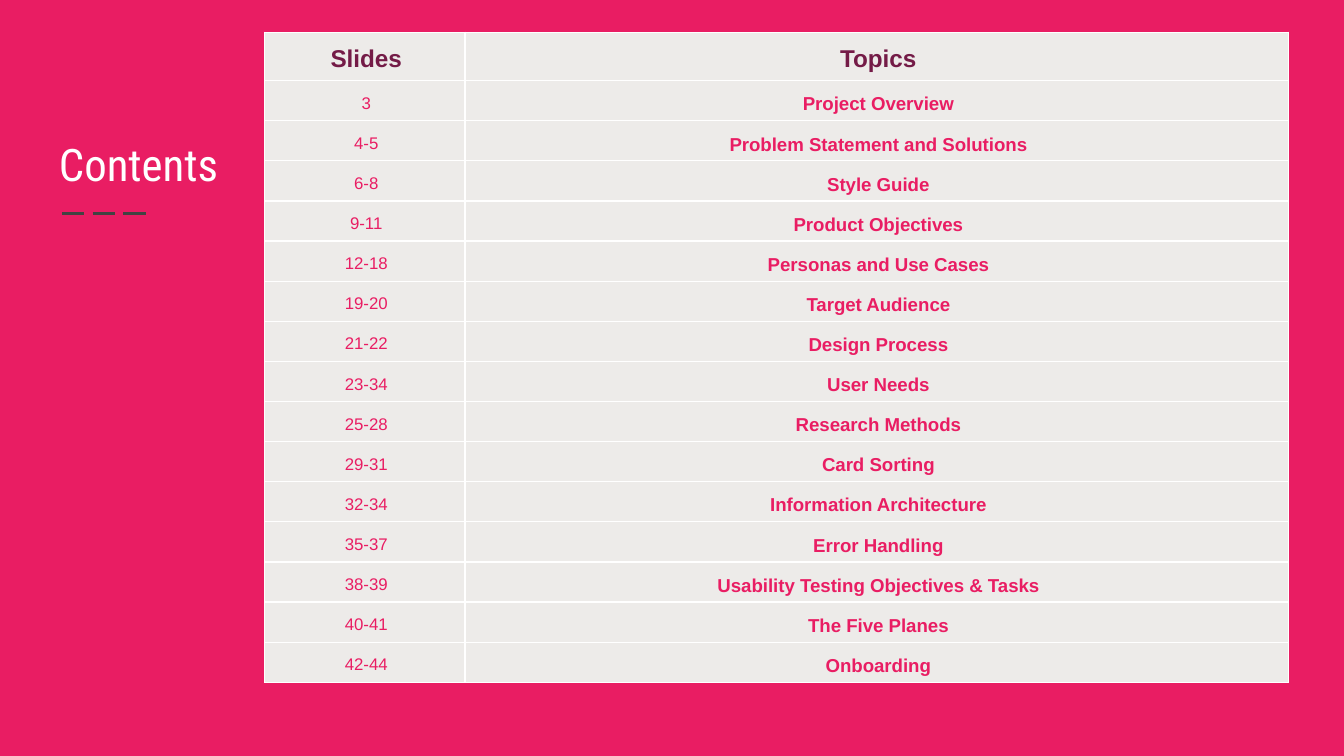
from dataclasses import dataclass

from lxml import etree
from pptx import Presentation
from pptx import util as u
from pptx.dml.color import RGBColor
from pptx.enum import dml, shapes, text
from pptx.oxml import ns


@dataclass(frozen=True)
class Theme:
    pink: str = "E91D63"
    plum: str = "741B47"
    panel: str = "EDEBE9"
    white: str = "FFFFFF"
    dash: str = "424242"
    title_font: str = "Roboto Condensed"
    table_font: str = "Arial"
    title_size: int = 24
    header_size: int = 13
    topic_size: int = 10
    pages_size: int = 9
    border_width: float = 0.75
    dash_width: float = 1.5


@dataclass(frozen=True)
class Entry:
    pages: str
    topic: str


@dataclass(frozen=True)
class TextStyle:
    font: str
    size: int
    color: str
    bold: bool = False


THEME = Theme()
TITLE = TextStyle(THEME.title_font, THEME.title_size, THEME.white)
HEADER = TextStyle(THEME.table_font, THEME.header_size, THEME.plum, True)
PAGES = TextStyle(THEME.table_font, THEME.pages_size, THEME.pink)
TOPIC = TextStyle(THEME.table_font, THEME.topic_size, THEME.pink, True)

ENTRIES = [
    Entry("3", "Project Overview"),
    Entry("4-5", "Problem Statement and Solutions"),
    Entry("6-8", "Style Guide"),
    Entry("9-11", "Product Objectives"),
    Entry("12-18", "Personas and Use Cases"),
    Entry("19-20", "Target Audience"),
    Entry("21-22", "Design Process"),
    Entry("23-34", "User Needs"),
    Entry("25-28", "Research Methods"),
    Entry("29-31", "Card Sorting"),
    Entry("32-34", "Information Architecture"),
    Entry("35-37", "Error Handling"),
    Entry("38-39", "Usability Testing Objectives & Tasks"),
    Entry("40-41", "The Five Planes"),
    Entry("42-44", "Onboarding"),
]

COLUMN_WIDTHS = (1.49, 6.13)
TABLE_HEIGHT = 4.84
HEADER_HEIGHT = 0.36


def write_text(frame, content: str, style: TextStyle, alignment) -> None:
    frame.text = content
    paragraph = frame.paragraphs[0]
    paragraph.alignment = alignment
    font = paragraph.runs[0].font
    font.name = style.font
    font.size = u.Pt(style.size)
    font.bold = style.bold
    font.color.rgb = RGBColor.from_string(style.color)


def add_borders(cell) -> None:
    properties = cell._tc.get_or_add_tcPr()
    for index, side in enumerate(("lnL", "lnR", "lnT", "lnB")):
        line = etree.Element(ns.qn(f"a:{side}"), w=str(u.Pt(THEME.border_width)))
        fill = etree.SubElement(line, ns.qn("a:solidFill"))
        etree.SubElement(fill, ns.qn("a:srgbClr"), val=THEME.white)
        properties.insert(index, line)


def fill_cell(cell, content: str, style: TextStyle) -> None:
    cell.fill.solid()
    cell.fill.fore_color.rgb = RGBColor.from_string(THEME.panel)
    cell.margin_left = cell.margin_top = u.Inches(0.1)
    cell.margin_right = u.Inches(0.08)
    cell.margin_bottom = u.Inches(0.03)
    write_text(cell.text_frame, content, style, text.PP_ALIGN.CENTER)
    add_borders(cell)


def add_dashes(slide) -> None:
    line = slide.shapes.add_connector(
        shapes.MSO_CONNECTOR.STRAIGHT,
        u.Inches(0.46), u.Inches(1.59), u.Inches(1.13), u.Inches(1.59),
    )
    line.line.color.rgb = RGBColor.from_string(THEME.dash)
    line.line.width = u.Pt(THEME.dash_width)
    line.line.dash_style = dml.MSO_LINE.LONG_DASH
    etree.SubElement(line._element.spPr, ns.qn("a:effectLst"))


def add_title(slide) -> None:
    title = slide.shapes.add_textbox(
        u.Inches(0.34), u.Inches(0.9), u.Inches(2.19), u.Inches(0.62)
    )
    title.fill.solid()
    title.fill.fore_color.rgb = RGBColor.from_string(THEME.pink)
    frame = title.text_frame
    frame.word_wrap = True
    frame.vertical_anchor = text.MSO_ANCHOR.BOTTOM
    frame.margin_left = frame.margin_right = u.Inches(0.1)
    frame.margin_top = frame.margin_bottom = u.Inches(0.1)
    write_text(frame, "Contents", TITLE, text.PP_ALIGN.LEFT)


def add_contents_table(slide) -> None:
    table = slide.shapes.add_table(
        len(ENTRIES) + 1, len(COLUMN_WIDTHS),
        u.Inches(1.97), u.Inches(0.24),
        u.Inches(sum(COLUMN_WIDTHS)), u.Inches(TABLE_HEIGHT),
    ).table
    for column, width in zip(table.columns, COLUMN_WIDTHS):
        column.width = u.Inches(width)
    entry_height = (TABLE_HEIGHT - HEADER_HEIGHT) / len(ENTRIES)
    for index, entry in enumerate([Entry("Slides", "Topics"), *ENTRIES]):
        is_header = index == 0
        table.rows[index].height = u.Inches(HEADER_HEIGHT if is_header else entry_height)
        fill_cell(table.cell(index, 0), entry.pages, HEADER if is_header else PAGES)
        fill_cell(table.cell(index, 1), entry.topic, HEADER if is_header else TOPIC)


def main() -> None:
    presentation = Presentation()
    presentation.slide_width = u.Inches(10)
    presentation.slide_height = u.Inches(10 * 9 / 16)
    slide = presentation.slides.add_slide(presentation.slide_layouts[6])
    slide.background.fill.solid()
    slide.background.fill.fore_color.rgb = RGBColor.from_string(THEME.pink)
    add_dashes(slide)
    add_title(slide)
    add_contents_table(slide)
    presentation.save("out.pptx")


if __name__ == "__main__":
    main()
